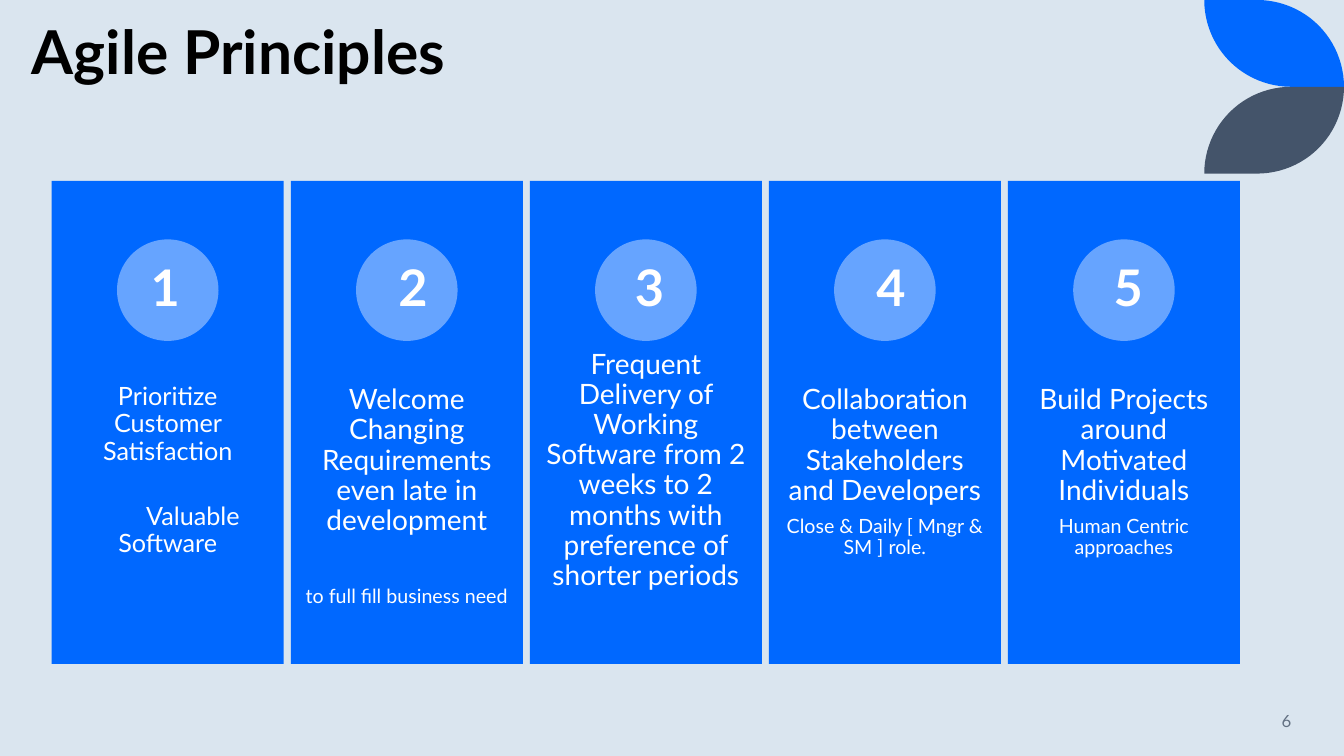
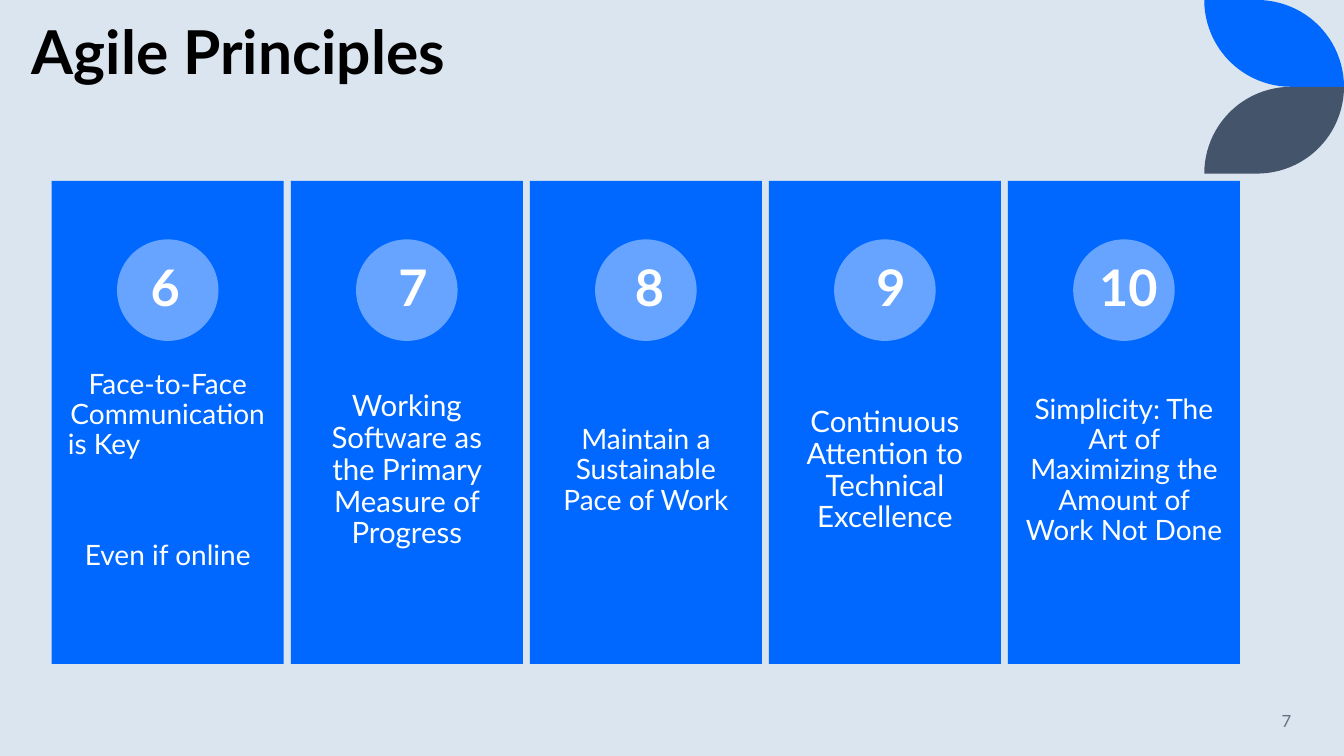
from dataclasses import dataclass
from math import cos, pi, sin

from pptx import Presentation
from pptx.dml.color import RGBColor
from pptx.enum import shapes, text
from pptx.util import Pt

BACKGROUND = RGBColor(0xDA, 0xE5, 0xEF)
BLUE = RGBColor(0x00, 0x68, 0xFF)
LIGHT_BLUE = RGBColor(0x66, 0xA4, 0xFF)
SLATE = RGBColor(0x44, 0x54, 0x6A)
GREY = RGBColor(0x63, 0x71, 0x83)
BLACK = RGBColor(0, 0, 0)
WHITE = RGBColor(0xFF, 0xFF, 0xFF)
FONT = "Lato"

WIDTH, HEIGHT = 960, 540
LEAF_WIDTH, LEAF_RADIUS = 99.8, 62
CARD_LEFT, CARD_TOP, CARD_WIDTH, CARD_HEIGHT = 37, 129.2, 165.7, 345
CARD_PITCH = 170.75
CIRCLE_TOP, CIRCLE_SIZE = 171, 72.5
BODY_TOP, BODY_HEIGHT = 267.3, 138
NUMBER_TOP, NUMBER_HEIGHT, DIGIT_WIDTH = 183, 44, 30
NUMBER_CENTERS = (118, 295, 464, 636.5, 806)

ALIGN = text.PP_ALIGN
ANCHOR = text.MSO_ANCHOR


@dataclass
class Line:
    """One paragraph; before, after and indent are in points."""
    words: str
    size: float = 20
    before: float = 0
    after: float = 7
    indent: float = 0
    align: int = ALIGN.CENTER
    color: RGBColor = WHITE
    bold: bool = False
    spacing: float = 0.9


@dataclass
class Card:
    lines: list
    inset: float = 11.5
    anchor: int = ANCHOR.MIDDLE


class Slides:
    def __init__(self):
        self.deck = Presentation()
        self.deck.slide_width, self.deck.slide_height = Pt(WIDTH), Pt(HEIGHT)
        fill = self.deck.slide_master.background.fill
        fill.solid()
        fill.fore_color.rgb = BACKGROUND
        self.page = None

    def add_page(self, title, number):
        self.page = self.deck.slides.add_slide(self.deck.slide_layouts[6])
        self.leaf(BLUE)
        self.leaf(SLATE, mirrored=True)
        self.text_box(15.8, 18.7, 770, 47.5,
                      [Line(title, 43.2, after=0, align=ALIGN.LEFT, color=BLACK, bold=True)],
                      (7.2, 3.6), ANCHOR.BOTTOM)
        self.text_box(799.2, 500.4, 130.3, 28.8,
                      [Line(str(number), 12, after=0, align=ALIGN.RIGHT, color=GREY, spacing=1)],
                      (7.2, 3.6), ANCHOR.MIDDLE)

    def paint(self, shape, color):
        shape.shadow.inherit = False
        shape.fill.solid()
        shape.fill.fore_color.rgb = color
        shape.line.fill.background()

    def shape(self, kind, left, top, width, height, color):
        shape = self.page.shapes.add_shape(kind, Pt(left), Pt(top), Pt(width), Pt(height))
        self.paint(shape, color)

    def leaf(self, color, mirrored=False):
        """Corner leaf bounded by two quarter circles; the mirrored one hangs below."""
        radius, left = LEAF_RADIUS, WIDTH - LEAF_WIDTH
        angles = [step * pi / 48 for step in range(25)]
        points = [(WIDTH - radius + radius * sin(a), radius - radius * cos(a)) for a in angles]
        points += [(left + radius - radius * sin(a), radius * cos(a)) for a in angles]
        if mirrored:
            points = [(x, 2 * radius - y) for x, y in points]
        points = [(Pt(x), Pt(y)) for x, y in points]
        builder = self.page.shapes.build_freeform(*points[0])
        builder.add_line_segments(points[1:], close=True)
        self.paint(builder.convert_to_shape(), color)

    def text_box(self, left, top, width, height, lines, insets=(0, 0), anchor=ANCHOR.TOP):
        box = self.page.shapes.add_textbox(Pt(left), Pt(top), Pt(width), Pt(height))
        frame = box.text_frame
        frame.word_wrap = True
        frame.vertical_anchor = anchor
        frame.margin_left = frame.margin_right = Pt(insets[0])
        frame.margin_top = frame.margin_bottom = Pt(insets[1])
        for index, line in enumerate(lines):
            para = frame.add_paragraph() if index else frame.paragraphs[0]
            para.alignment = line.align
            para.line_spacing = line.spacing
            para.space_before, para.space_after = Pt(line.before), Pt(line.after)
            if line.indent:
                para._p.get_or_add_pPr().set("indent", str(Pt(line.indent)))
            span = para.add_run()
            span.text = line.words
            span.font.name, span.font.size = FONT, Pt(line.size)
            span.font.bold, span.font.color.rgb = line.bold, line.color

    def card(self, column, number, card):
        left = CARD_LEFT + column * CARD_PITCH
        self.shape(shapes.MSO_SHAPE.RECTANGLE, left, CARD_TOP, CARD_WIDTH, CARD_HEIGHT, BLUE)
        self.text_box(left, BODY_TOP, CARD_WIDTH, BODY_HEIGHT, card.lines,
                      (card.inset, card.inset), card.anchor)
        self.shape(shapes.MSO_SHAPE.OVAL, left + (CARD_WIDTH - CIRCLE_SIZE) / 2, CIRCLE_TOP,
                   CIRCLE_SIZE, CIRCLE_SIZE, LIGHT_BLUE)
        label = str(number)
        width = DIGIT_WIDTH * len(label)
        self.text_box(NUMBER_CENTERS[column] - width / 2, NUMBER_TOP, width, NUMBER_HEIGHT,
                      [Line(label, 36, after=0, bold=True, spacing=1)])


def noted(principle, note, gap=0):
    """Card with a smaller note under its principle."""
    return Card([Line(principle), Line(note, 14, before=gap, after=2)], 8, ANCHOR.TOP)


def plain(principle, size=20):
    return Card([Line(principle, size)])


PAGES = {
    6: [
        Card([Line("Prioritize Customer Satisfaction", 18),
              Line("Valuable Software", 18, before=20, indent=36)], 10),
        noted("Welcome Changing Requirements even late in development",
              "to full fill business need", 28.6),
        plain("Frequent Delivery of Working Software from 2 weeks to 2 months "
              "with preference of shorter periods"),
        noted("Collaboration between Stakeholders and Developers",
              "Close & Daily [ Mngr & SM ] role."),
        noted("Build Projects around Motivated Individuals", "Human Centric approaches"),
    ],
    7: [
        Card([Line("Face-to-Face Communication", after=0),
              Line("is Key", align=ALIGN.LEFT),
              Line("Even if online", before=50.2)]),
        plain("Working Software as the Primary Measure of Progress", 21),
        plain("Maintain a Sustainable Pace of Work"),
        plain("Continuous Attention to Technical Excellence", 21),
        plain("Simplicity: The Art of Maximizing the Amount of Work Not Done"),
    ],
}


def main():
    slides = Slides()
    principle = 1
    for page_number, cards in PAGES.items():
        slides.add_page("Agile Principles", page_number)
        for column, card in enumerate(cards):
            slides.card(column, principle, card)
            principle += 1
    slides.deck.save("out.pptx")


if __name__ == "__main__":
    main()
